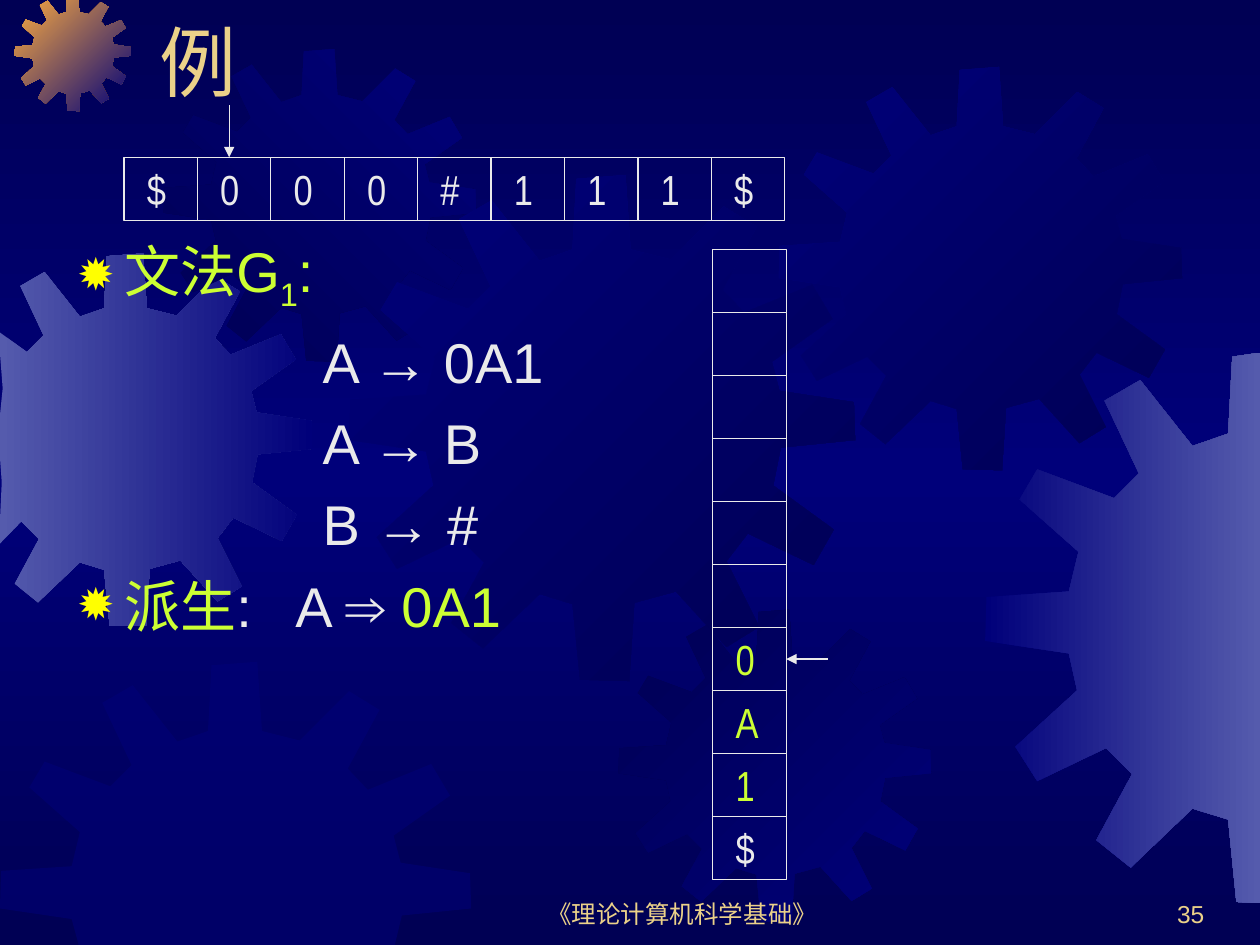
from pptx import Presentation
from pptx.dml.color import RGBColor
from pptx.enum.shapes import MSO_CONNECTOR as LINE, MSO_SHAPE as SHAPE
from pptx.enum.text import MSO_ANCHOR as ANCHOR, PP_ALIGN as ALIGN
from pptx.oxml.ns import qn
from pptx.util import Cm, Pt
from lxml.etree import SubElement
from copy import deepcopy

NAVY = RGBColor(0x00, 0x00, 0x54)
BLUE = RGBColor(0x00, 0x00, 0x7A)
MIST = RGBColor(0x55, 0x5B, 0xAD)
AMBER = RGBColor(0xFC, 0xAB, 0x40)
SAND = RGBColor(0xEB, 0xD1, 0x89)
WHITE = RGBColor(0xEA, 0xEA, 0xEA)
LIME = RGBColor(0xCC, 0xFF, 0x33)

# Content
TITLE = "例"
TAPE = list("$000#111$")
STACK = [""] * 6 + list("0A1$")
NEW = range(6, 9)  # stack cells just pushed
# Each line: bulleted or not, then (text, colour, subscript) runs
LINES = [
    (True, [("文法G", LIME, False), ("1", LIME, True), (":", LIME, False)]),
    (False, [("A → 0A1", WHITE, False)]),
    (False, [("A → B", WHITE, False)]),
    (False, [("B → #", WHITE, False)]),
    (True, [("派生", LIME, False), (":\tA ⇒ ", WHITE, False),
            ("0A1", LIME, False)]),
]
# Footer: text, left, width, alignment
FOOT = [("《理论计算机科学基础》", 9.73, 8.05, ALIGN.CENTER),
        ("35", 19.25, 5.28, ALIGN.RIGHT)]

# Gear outline on a grid of GRID units
GRID = 401
GEAR = [
    (255, 67), (223, 59), (219, 0), (180, 3), (177, 59), (151, 68),
    (113, 20), (87, 35), (112, 88), (94, 106), (38, 85), (25, 107),
    (68, 145), (61, 174), (1, 178), (0, 210), (61, 219), (67, 246),
    (22, 287), (38, 312), (88, 288), (107, 307), (81, 355), (106, 375),
    (151, 332), (177, 340), (183, 400), (222, 401), (226, 339), (259, 330),
    (299, 374), (325, 358), (299, 306), (316, 284), (368, 309), (384, 281),
    (336, 246), (342, 216), (401, 210), (400, 180), (341, 171), (335, 148),
    (383, 114), (367, 87), (313, 109), (296, 91), (323, 41), (297, 25),
]
# Gears: left, top, size, first colour, last colour, clockwise angle
GEARS = [
    (-1.22, 5.11, 7.52, MIST, BLUE, 0),
    (0.3, -0.1, 2.34, AMBER, BLUE, 45),
    (3.3, 0.99, 6.3, NAVY, BLUE, 315),
    (7.04, 3.53, 10.2, BLUE, NAVY, 45),
    (0, 13.34, 9.5, BLUE, None, 0),
    (12.47, 12.29, 6.3, NAVY, BLUE, 45),
    (15.7, 1.35, 8.13, BLUE, NAVY, 45),
    (19.86, 7.11, 11.1, BLUE, MIST, 0),
]
WIDE, HIGH = 25.4, 19.05
CELL_W, CELL_H = 1.48, 1.27
TAPE_X, TAPE_Y = 2.5, 3.17
STACK_X, STACK_Y = 14.37, 5.03


def place(shape, x, y, w, h):
    shape.left, shape.top = Cm(x), Cm(y)
    shape.width, shape.height = Cm(w), Cm(h)


def style(run, size, color, face="Arial"):
    run.font.size, run.font.name = Pt(size), face
    run.font.color.rgb = color


def blend(fill, first, last, angle):
    fill.gradient()
    fill.gradient_angle = -angle % 360
    for stop, color in zip(fill.gradient_stops, (first, last)):
        stop.color.rgb = color


def gear(x, y, size, first, last, angle):
    # Points past the slide edge are pulled back onto it
    unit = size / GRID
    pts = [(Cm(min(max(x + u * unit, 0), WIDE)),
            Cm(min(max(y + v * unit, 0), HIGH))) for u, v in GEAR]
    pen = shapes.build_freeform(*pts[0], scale=1.0)
    pen.add_line_segments(pts[1:], close=True)
    shape = pen.convert_to_shape()
    shape.shadow.inherit = False
    shape.line.fill.background()
    if last is not None:
        blend(shape.fill, first, last, angle)
        return
    shape.fill.solid()
    shape.fill.fore_color.rgb = first
    tint = shape.element.spPr.find(qn("a:solidFill"))[0]
    SubElement(tint, qn("a:alpha"), val="50000")


def cell(x, y, text, color):
    box = shapes.add_shape(SHAPE.RECTANGLE, Cm(x), Cm(y),
                           Cm(CELL_W), Cm(CELL_H))
    box.shadow.inherit = False
    box.fill.background()
    box.line.color.rgb, box.line.width = WHITE, Pt(0.75)
    if text:
        frame = box.text_frame
        frame.margin_left, frame.margin_right = Cm(0.46), 0
        frame.vertical_anchor = ANCHOR.MIDDLE
        frame.text = text
        para = frame.paragraphs[0]
        para.alignment = ALIGN.LEFT
        style(para.runs[0], 24, color, "Arial Narrow")


def arrow(x1, y1, x2, y2):
    line = shapes.add_connector(LINE.STRAIGHT, Cm(x1), Cm(y1), Cm(x2), Cm(y2))
    line.line.color.rgb, line.line.width = WHITE, Pt(0.75)
    SubElement(line.line._get_or_add_ln(), qn("a:tailEnd"), type="triangle")
    SubElement(line.element.spPr, qn("a:effectLst"))


def mark(para, bullet):
    # Bullet or plain indent, with a tab stop for the derivation
    props = para._p.get_or_add_pPr()
    props.set("marL", str(Cm(0.95 if bullet else 4.95)))
    props.set("indent", str(Cm(-0.95 if bullet else 0)))
    if not bullet:
        SubElement(props, qn("a:buNone"))
        return
    tint = SubElement(props, qn("a:buClr"))
    SubElement(tint, qn("a:srgbClr"), val="FFFF00")
    SubElement(props, qn("a:buSzPct"), val="80000")
    SubElement(props, qn("a:buFont"), typeface="Arial")
    SubElement(props, qn("a:buChar"), char="✹")
    tabs = SubElement(props, qn("a:tabLst"))
    SubElement(tabs, qn("a:tab"), pos=str(Cm(4.4)), algn="l")


deck = Presentation()
deck.slide_width, deck.slide_height = Cm(WIDE), Cm(HIGH)
slide = deck.slides.add_slide(deck.slide_layouts[1])
shapes = slide.shapes

# Background, dark at top and bottom
blend(slide.background.fill, NAVY, NAVY, 90)
stops = slide.element.find(".//" + qn("a:gsLst"))
stops.insert(1, deepcopy(stops[0]))
middle = slide.background.fill.gradient_stops[1]
middle.position, middle.color.rgb = 0.5, BLUE

# Gears
for item in GEARS:
    gear(*item)

# Title, in front of the gears
title, body = shapes.title, slide.placeholders[1]
for holder in (title, body):
    shapes._spTree.append(holder.element)
place(title, 2.97, -0.89, 21.6, 3.18)
title.text_frame.text = TITLE
title.text_frame.vertical_anchor = ANCHOR.BOTTOM
head = title.text_frame.paragraphs[0]
head.alignment = ALIGN.LEFT
style(head.runs[0], 44, SAND)

# Grammar and derivation
place(body, 1.3, 4.65, 12.67, 12.9)
frame = body.text_frame
for i, (bullet, runs) in enumerate(LINES):
    para = frame.add_paragraph() if i else frame.paragraphs[0]
    para.space_before = Pt(8 if i else 0)
    mark(para, bullet)
    for text, color, sub in runs:
        run = para.add_run()
        run.text = text
        style(run, 32, color)
        if sub:
            run.font._element.set("baseline", "-25000")

# Input tape and stack, each with its pointer
for i, text in enumerate(TAPE):
    cell(TAPE_X + i * CELL_W, TAPE_Y, text, WHITE)
for i, text in enumerate(STACK):
    cell(STACK_X, STACK_Y + i * CELL_H, text, LIME if i in NEW else WHITE)
arrow(4.62, 2.12, 4.62, TAPE_Y)
tip, mid = STACK_X + CELL_W, STACK_Y + 6.5 * CELL_H
arrow(tip + 0.84, mid, tip, mid)

# Footer
for text, x, w, side in FOOT:
    box = shapes.add_textbox(Cm(x), Cm(17.57), Cm(w), Cm(1.27))
    box.text_frame.word_wrap = True
    box.text_frame.vertical_anchor = ANCHOR.BOTTOM
    box.text_frame.text = text
    para = box.text_frame.paragraphs[0]
    para.alignment = side
    style(para.runs[0], 14, SAND)

deck.save("out.pptx")
